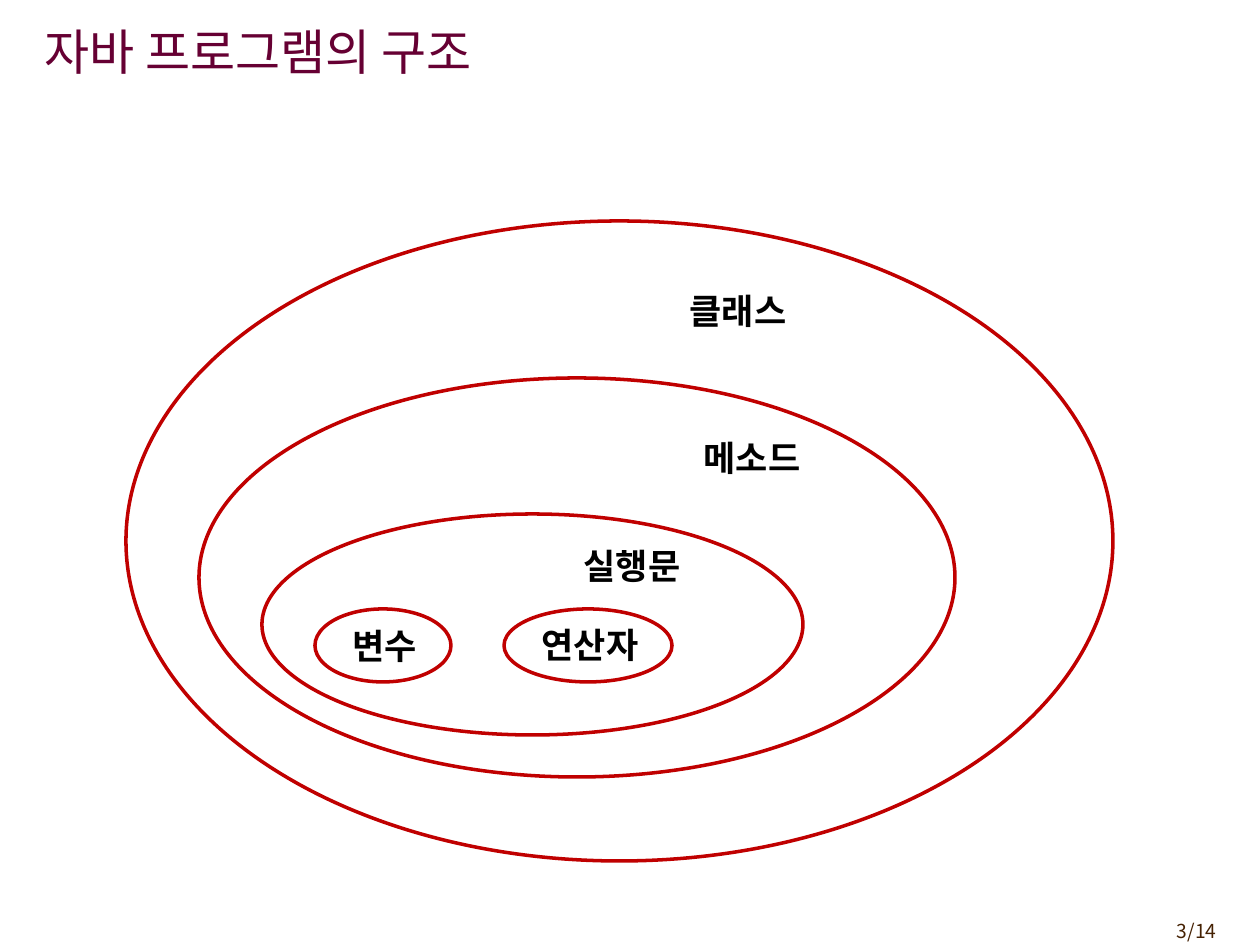
import pptx
import pptx.util
import pptx.dml.color
import pptx.enum.shapes
import pptx.enum.text
import pptx.oxml
import pptx.oxml.ns

PX = 914400 // 126
FONT = "Noto Sans CJK KR"
ALIGN = pptx.enum.text.PP_ALIGN
ANCHOR = pptx.enum.text.MSO_ANCHOR
FIT = pptx.enum.text.MSO_AUTO_SIZE

TITLE = ("자바 프로그램의 구조", (32, 11, 1042, 79))
PAGE = ("3/14", (1124, 913, 105, 37))

# Label, ellipse box, label box (px: left, top, width, height), outermost first
NESTING = [
    ("클래스", (126, 221, 987, 640), (677, 283, 122, 55)),
    ("메소드", (199, 378, 756, 399), (691, 430, 122, 55)),
    ("실행문", (262, 514, 541, 221), (571, 538, 122, 55)),
    ("변수", (315, 609, 136, 73), (337, 618, 96, 55)),
    ("연산자", (504, 609, 168, 73), (529, 617, 122, 55)),
]

TITLE_STYLE = {"size": 28, "color": "660033", "bold": False}
LABEL_STYLE = {"size": 20, "color": "000000", "bold": True}
PAGE_STYLE = {"size": 11, "color": "452103", "bold": False}


def rgb(value):
    return pptx.dml.color.RGBColor.from_string(value)


def emu(box):
    return [length * PX for length in box]


def write(frame, text, style, align, **frame_format):
    for key, value in frame_format.items():
        setattr(frame, key, value)
    paragraph = frame.paragraphs[0]
    paragraph.alignment = align
    run = paragraph.add_run()
    run.text = text
    run.font.color.rgb = rgb(style["color"])
    values = {"size": pptx.util.Pt(style["size"]), "bold": style["bold"], "name": FONT}
    for key, value in values.items():
        setattr(run.font, key, value)
    # Korean glyphs take the East Asian typeface
    east_asian = pptx.oxml.parse_xml(
        f'<a:ea {pptx.oxml.ns.nsdecls("a")} typeface="{FONT}"/>')
    run.font._element.append(east_asian)


def main():
    deck = pptx.Presentation()
    deck.slide_width = pptx.util.Inches(10)
    deck.slide_height = pptx.util.Inches(7.5)
    slide = deck.slides.add_slide(deck.slide_layouts[5])

    # Title
    text, box = TITLE
    title = slide.shapes.title
    title.left, title.top, title.width, title.height = emu(box)
    write(title.text_frame, text, TITLE_STYLE, ALIGN.LEFT,
          vertical_anchor=ANCHOR.MIDDLE, word_wrap=True, auto_size=FIT.NONE)

    # Nested ellipses
    for _, box, _ in NESTING:
        ellipse = slide.shapes.add_shape(
            pptx.enum.shapes.MSO_SHAPE.OVAL, *emu(box))
        ellipse.shadow.inherit = False
        ellipse.fill.background()
        ellipse.line.color.rgb = rgb("C00000")
        ellipse.line.width = pptx.util.Pt(2)

    # Labels, centred in boxes a little wider than their text
    for text, _, box in NESTING:
        label = slide.shapes.add_textbox(*emu(box))
        write(label.text_frame, text, LABEL_STYLE, ALIGN.CENTER,
              word_wrap=False, auto_size=FIT.SHAPE_TO_FIT_TEXT)

    # Page number
    text, box = PAGE
    page = slide.shapes.add_textbox(*emu(box))
    write(page.text_frame, text, PAGE_STYLE, ALIGN.RIGHT, word_wrap=True)

    deck.save("out.pptx")


if __name__ == "__main__":
    main()
